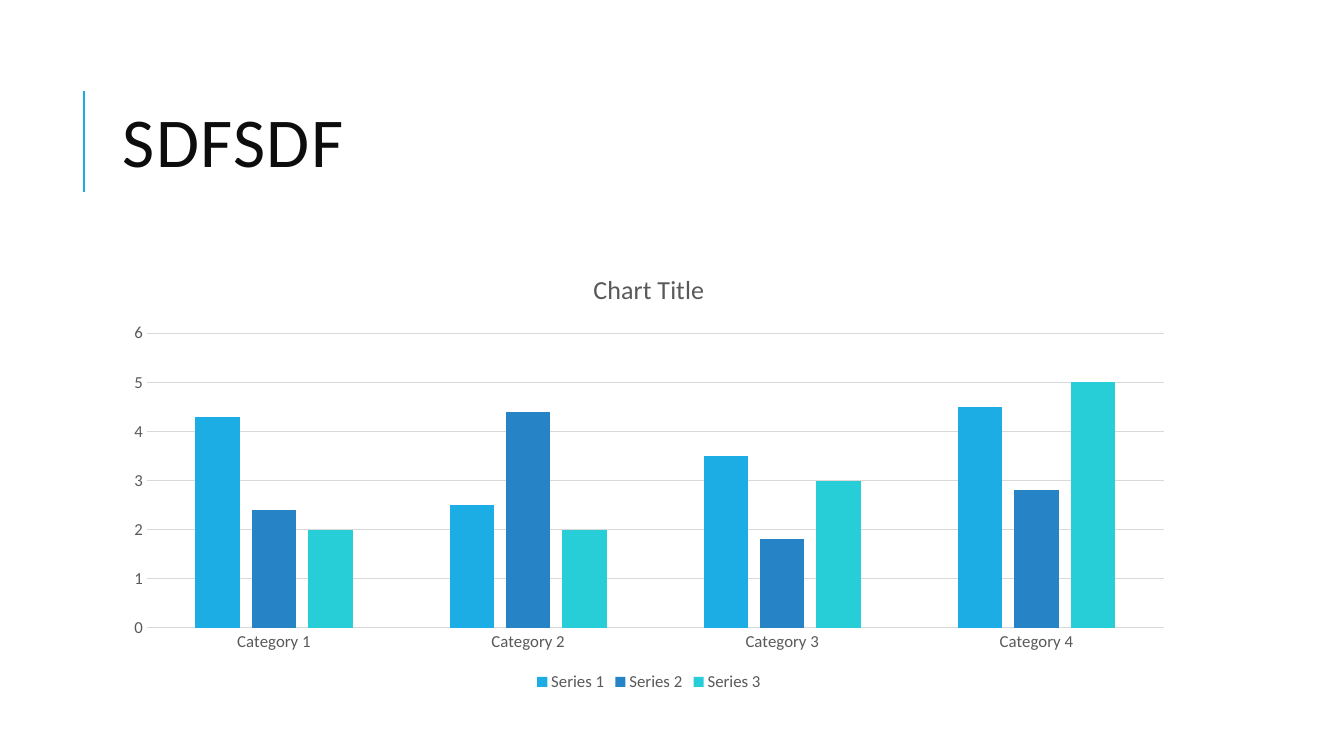
from dataclasses import dataclass

from lxml import etree
from pptx import Presentation
from pptx import util as u
from pptx.chart.axis import CategoryAxis, ValueAxis
from pptx.chart.chart import Chart
from pptx.chart.data import CategoryChartData
from pptx.dml.color import RGBColor
from pptx.dml.line import LineFormat
from pptx.enum import chart as charts, shapes, text
from pptx.oxml.ns import qn
from pptx.slide import Slide
from pptx.text.text import Font, TextFrame

PIXEL = 914400 / 100.8
FONT = "Calibri"
SKY = RGBColor(0x1C, 0xAD, 0xE4)
BLUE = RGBColor(0x26, 0x83, 0xC6)
TURQUOISE = RGBColor(0x27, 0xCE, 0xD7)
INK = RGBColor(0x0D, 0x0D, 0x0D)
GRAY = RGBColor(0x59, 0x59, 0x59)
GRID = RGBColor(0xD9, 0xD9, 0xD9)


@dataclass(frozen=True)
class Box:
    """A rectangle in pixels."""
    left: int
    top: int
    width: int
    height: int

    def emu(self) -> tuple[u.Emu, ...]:
        """Return left, top, width and height in EMU."""
        return tuple(map(px, (self.left, self.top, self.width, self.height)))


@dataclass(frozen=True)
class Series:
    """One set of columns."""
    name: str
    values: tuple[float, ...]
    color: RGBColor


TITLE_BOX = Box(113, 65, 1072, 165)
CHART_BOX = Box(113, 252, 1072, 444)
CATEGORIES = [f"Category {number}" for number in range(1, 5)]
SERIES = (
    Series("Series 1", (4.3, 2.5, 3.5, 4.5), SKY),
    Series("Series 2", (2.4, 4.4, 1.8, 2.8), BLUE),
    Series("Series 3", (2, 2, 3, 5), TURQUOISE),
)


def px(pixels: int) -> u.Emu:
    """Convert pixels to EMU."""
    return u.Emu(round(pixels * PIXEL))


def style_font(font: Font, size: float, color: RGBColor) -> None:
    """Set typeface, size and colour."""
    font.name = FONT
    font.size = u.Pt(size)
    font.bold = False
    font.color.rgb = color


def style_line(line: LineFormat, color: RGBColor, width: float) -> None:
    """Set a solid line colour and its width in points."""
    line.color.rgb = color
    line.width = u.Pt(width)


def write_text(frame: TextFrame, words: str, *, size: float, color: RGBColor,
               line_spacing: float | None = None, tracking: float = 0) -> None:
    """Write one formatted paragraph; tracking is in points."""
    paragraph = frame.paragraphs[0]
    paragraph.line_spacing = line_spacing
    run = paragraph.add_run()
    run.text = words
    style_font(run.font, size, color)
    if tracking:
        run.font._element.set("spc", str(round(tracking * 100)))


def add_title(slide: Slide) -> None:
    """Add the heading and the accent line beside it."""
    accent = slide.shapes.add_connector(
        shapes.MSO_CONNECTOR.STRAIGHT, px(84), px(192), px(84), px(91))
    style_line(accent.line, SKY, 1.5)
    etree.SubElement(accent._element.spPr, qn("a:effectLst"))
    frame = slide.shapes.add_textbox(*TITLE_BOX.emu()).text_frame
    frame.word_wrap = True
    frame.vertical_anchor = text.MSO_ANCHOR.MIDDLE
    write_text(frame, "SDFSDF", size=50, color=INK, line_spacing=0.8, tracking=1)


def style_axis(axis: CategoryAxis | ValueAxis) -> None:
    """Remove tick marks and set the label font."""
    axis.major_tick_mark = charts.XL_TICK_MARK.NONE
    axis.minor_tick_mark = charts.XL_TICK_MARK.NONE
    style_font(axis.tick_labels.font, 12, GRAY)


def style_axes(chart: Chart) -> None:
    """Format both axes and the gridlines."""
    style_axis(chart.category_axis)
    style_line(chart.category_axis.format.line, GRID, 0.75)
    value_axis = chart.value_axis
    style_axis(value_axis)
    value_axis.minimum_scale, value_axis.maximum_scale = 0, 6
    value_axis.major_unit = 1
    value_axis.format.line.fill.background()
    style_line(value_axis.major_gridlines.format.line, GRID, 0.75)


def add_column_chart(slide: Slide) -> None:
    """Add the clustered column chart with title and legend."""
    data = CategoryChartData()
    data.categories = CATEGORIES
    for series in SERIES:
        data.add_series(series.name, series.values)
    chart = slide.shapes.add_chart(
        charts.XL_CHART_TYPE.COLUMN_CLUSTERED, *CHART_BOX.emu(), data).chart
    style_font(chart.font, 10, GRAY)
    write_text(chart.chart_title.text_frame, "Chart Title", size=18.6, color=GRAY)
    chart.chart_title.include_in_layout = False
    style_axes(chart)

    plot = chart.plots[0]
    plot.vary_by_categories = False
    plot.gap_width, plot.overlap = 219, -27
    for columns, series in zip(plot.series, SERIES):
        columns.format.fill.solid()
        columns.format.fill.fore_color.rgb = series.color

    chart.has_legend = True
    chart.legend.position = charts.XL_LEGEND_POSITION.BOTTOM
    chart.legend.include_in_layout = False
    style_font(chart.legend.font, 12, GRAY)


def main() -> None:
    """Build and save the presentation."""
    presentation = Presentation()
    presentation.slide_width, presentation.slide_height = px(1344), px(756)
    slide = presentation.slides.add_slide(presentation.slide_layouts[6])
    add_title(slide)
    add_column_chart(slide)
    presentation.save("out.pptx")


main()
